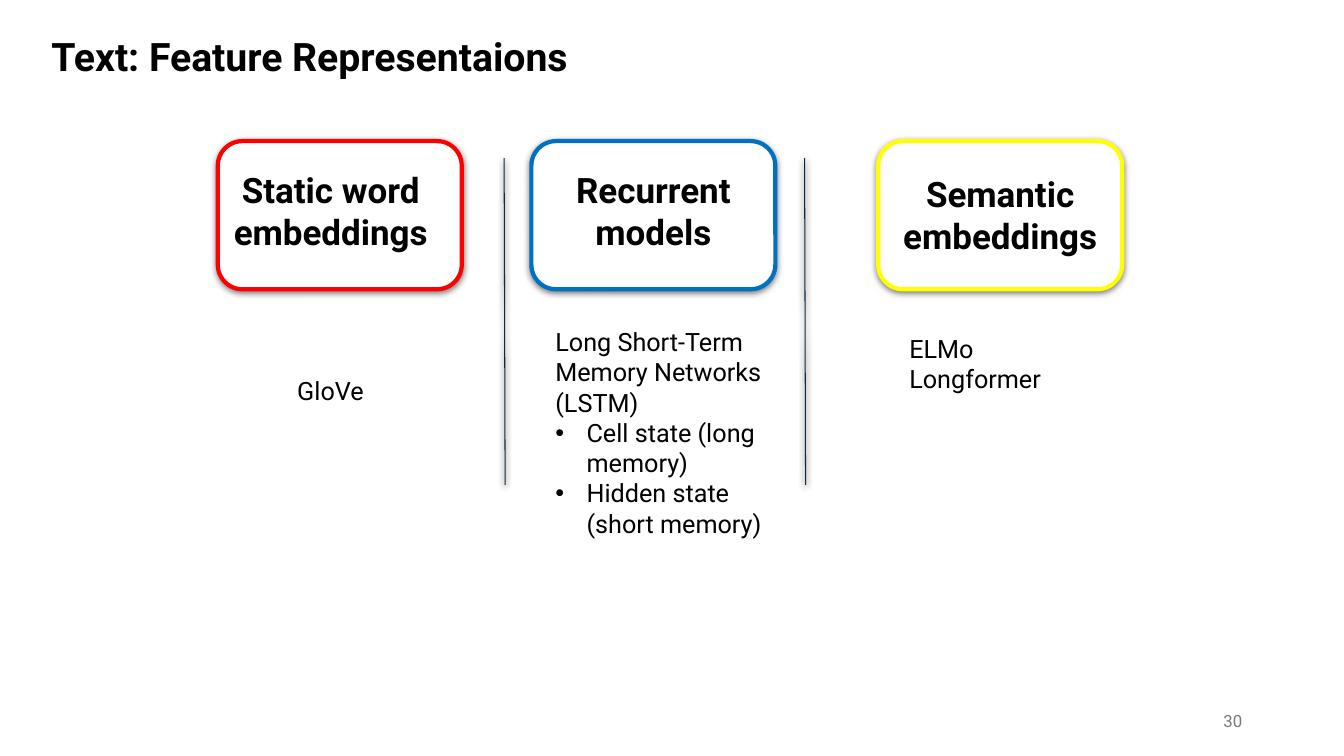
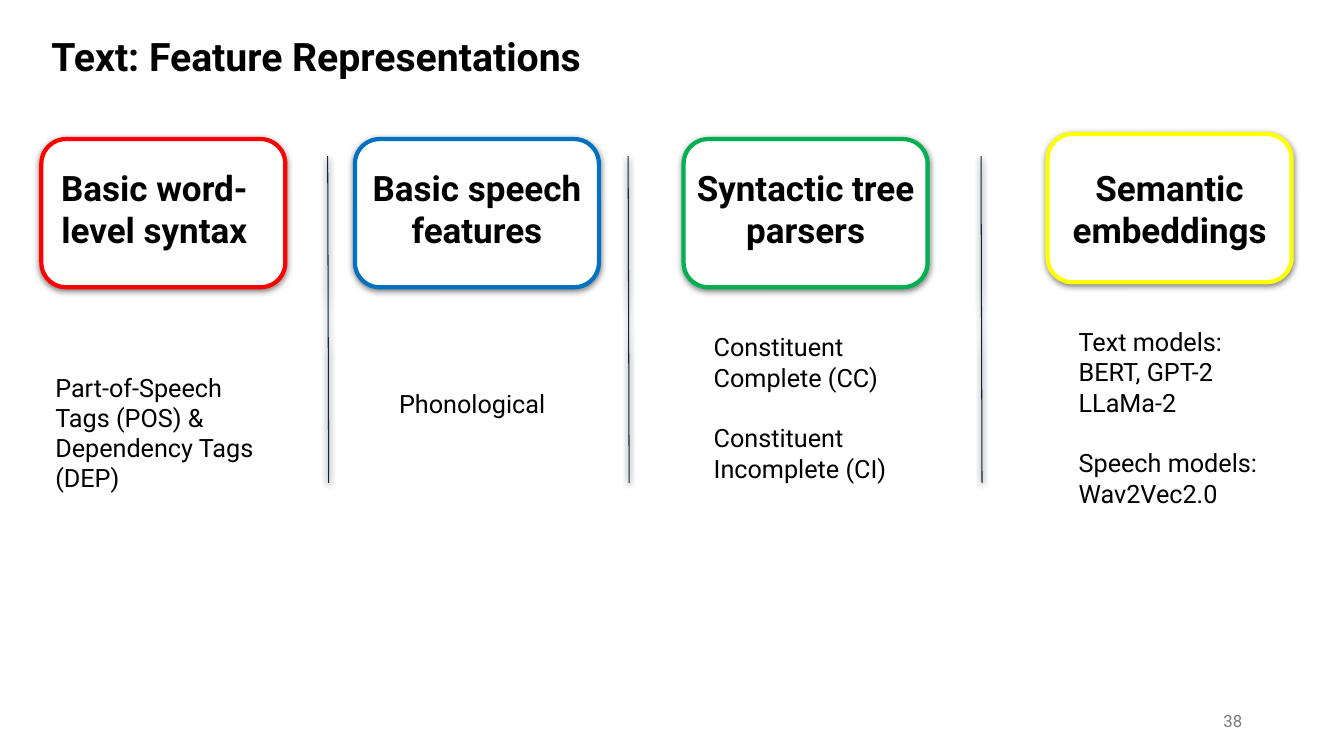
"""Build two slides comparing text feature representations."""
from pptx import Presentation
from pptx.dml.color import RGBColor
from pptx.enum.shapes import MSO_CONNECTOR, MSO_SHAPE
from pptx.enum.text import MSO_ANCHOR, MSO_AUTO_SIZE, PP_ALIGN
from pptx.oxml import parse_xml
from pptx.oxml.ns import nsdecls
from pptx.util import Inches, Pt

ROUND = MSO_SHAPE.ROUNDED_RECTANGLE
STRAIGHT = MSO_CONNECTOR.STRAIGHT
LEFT, CENTER, RIGHT = PP_ALIGN.LEFT, PP_ALIGN.CENTER, PP_ALIGN.RIGHT
MIDDLE, TOP = MSO_ANCHOR.MIDDLE, MSO_ANCHOR.TOP
FIXED, GROW = MSO_AUTO_SIZE.NONE, MSO_AUTO_SIZE.SHAPE_TO_FIT_TEXT

BLACK = RGBColor(0x00, 0x00, 0x00)
WHITE = RGBColor(0xFF, 0xFF, 0xFF)
GREY = RGBColor(0x79, 0x79, 0x79)
NAVY = RGBColor(0x0E, 0x28, 0x41)
RED = RGBColor(0xFF, 0x00, 0x00)
BLUE = RGBColor(0x00, 0x70, 0xC0)
GREEN = RGBColor(0x00, 0xB0, 0x50)
YELLOW = RGBColor(0xFF, 0xFF, 0x00)

CARD_W, CARD_H, HEAD_H = 2.42, 1.47, 1.04
RULE_H, LEAN = 3.24, 0.01
PLAIN, BULLET, GAP = "plain", "bullet", "gap"

STYLES = {
    "title": {
        "font": {"name": "Roboto", "size": Pt(28), "bold": True},
        "para": {"alignment": LEFT, "line_spacing": 0.9},
        "frame": {"vertical_anchor": MIDDLE, "auto_size": FIXED},
        "color": BLACK,
    },
    "head": {
        "font": {"name": "Roboto", "size": Pt(25), "bold": True},
        "para": {"alignment": CENTER},
        "frame": {"vertical_anchor": TOP, "auto_size": GROW,
                  "margin_top": Inches(0.1), "margin_bottom": Inches(0.1)},
        "color": BLACK,
    },
    "body": {
        "font": {"name": "Roboto", "size": Pt(18)},
        "para": {"alignment": LEFT},
        "frame": {"vertical_anchor": TOP, "auto_size": GROW},
        "color": BLACK,
    },
    "number": {
        "font": {"name": "Roboto", "size": Pt(12)},
        "para": {"alignment": RIGHT},
        "frame": {"vertical_anchor": MIDDLE, "auto_size": FIXED},
        "color": GREY,
    },
}

SLIDES = [
    {
        "title": "Text: Feature Representaions",
        "number": "30",
        "rules": (1.57, [5, 7.98]),
        "cards": [
            (RED, 2.16, 1.4, (2.07, 1.57), ["Static word", "embeddings"],
             (2.85, 3.67, 1.03, 0.4), [(PLAIN, "GloVe")]),
            (BLUE, 5.27, 1.4, (5.27, 1.57), ["Recurrent models"],
             (5.41, 3.19, 2.42, 2.22),
             [(PLAIN, "Long Short-Term Memory Networks (LSTM)"),
              (BULLET, "Cell state (long memory)"),
              (BULLET, "Hidden state (short memory)")]),
            (YELLOW, 8.71, 1.4, (8.71, 1.61), ["Semantic embeddings"],
             (8.92, 3.26, 2.01, 0.71),
             [(PLAIN, "ELMo"), (PLAIN, "Longformer")]),
        ],
    },
    {
        "title": "Text: Feature Representations",
        "number": "38",
        "rules": (1.55, [3.25, 6.23, 9.73]),
        "cards": [
            (RED, 0.41, 1.38, (0.32, 1.55), ["Basic word-level syntax"],
             (0.45, 3.64, 2.42, 1.31),
             [(PLAIN, "Part-of-Speech Tags (POS) & Dependency Tags (DEP)")]),
            (BLUE, 3.52, 1.38, (3.52, 1.55), ["Basic speech features"],
             (3.86, 3.8, 2.01, 0.4), [(PLAIN, "Phonological")]),
            (GREEN, 6.78, 1.38, (6.78, 1.55), ["Syntactic tree parsers"],
             (6.98, 3.24, 2.01, 1.62),
             [(PLAIN, "Constituent Complete (CC)"),
              (GAP, "Constituent Incomplete (CI)")]),
            (YELLOW, 10.39, 1.33, (10.39, 1.55), ["Semantic embeddings"],
             (10.6, 3.19, 2.01, 1.92),
             [(PLAIN, "Text models: BERT, GPT-2"),
              (PLAIN, "LLaMa-2"),
              (GAP, "Speech models: Wav2Vec2.0")]),
        ],
    },
]


def write(shape, lines, kind):
    """Fill a shape with lines of text in one named style."""
    style = STYLES[kind]
    frame = shape.text_frame
    frame.word_wrap = True
    for key, value in style["frame"].items():
        setattr(frame, key, value)
    for index, (form, text) in enumerate(lines):
        para = frame.add_paragraph() if index else frame.paragraphs[0]
        for key, value in style["para"].items():
            setattr(para, key, value)
        if form == GAP:
            para.space_before = Pt(21.8)
        if form == BULLET:
            props = para._p.get_or_add_pPr()
            props.set("marL", str(Inches(0.31)))
            props.set("indent", str(-Inches(0.31)))
            props.append(parse_xml(f'<a:buFont {nsdecls("a")} typeface="Arial"/>'))
            props.append(parse_xml(f'<a:buChar {nsdecls("a")} char="•"/>'))
        run = para.add_run()
        run.text = text
        for key, value in style["font"].items():
            setattr(run.font, key, value)
        run.font.color.rgb = style["color"]


def shade(shape, alpha):
    """Give a shape a soft black shadow below it."""
    shape._element.spPr.append(parse_xml(
        f'<a:effectLst {nsdecls("a")}>'
        f'<a:outerShdw blurRad="{Pt(4.5)}" dist="{Pt(1.5)}" dir="5400000" '
        f'rotWithShape="0"><a:srgbClr val="{BLACK}">'
        f'<a:alpha val="{alpha * 1000}"/></a:srgbClr></a:outerShdw>'
        '</a:effectLst>'))


deck = Presentation()
deck.slide_width, deck.slide_height = Inches(13.33), Inches(7.5)

for page in SLIDES:
    slide = deck.slides.add_slide(deck.slide_layouts[5])
    shapes = slide.shapes
    title = shapes.title
    place = {"left": 0.41, "top": 0.2, "width": 11.5, "height": 0.77}
    for key, value in place.items():
        setattr(title, key, Inches(value))
    write(title, [(PLAIN, page["title"])], "title")

    for color, left, top, spot, head, area, body in page["cards"]:
        card = shapes.add_shape(ROUND, Inches(left), Inches(top),
                                Inches(CARD_W), Inches(CARD_H))
        card.fill.solid()
        card.fill.fore_color.rgb = WHITE
        card.line.color.rgb = color
        card.line.width = Pt(3)
        shade(card, 50)
        label = shapes.add_textbox(*map(Inches, (*spot, CARD_W, HEAD_H)))
        write(label, [(PLAIN, text) for text in head], "head")
        notes = shapes.add_textbox(*map(Inches, area))
        write(notes, body, "body")

    top, spots = page["rules"]
    for left in spots:
        rule = shapes.add_connector(STRAIGHT, Inches(left), Inches(top),
                                    Inches(left + LEAN), Inches(top + RULE_H))
        rule.line.color.rgb = NAVY
        rule.line.width = Pt(0.75)
        shade(rule, 100)

    number = shapes.add_textbox(*map(Inches, (9.42, 6.95, 3, 0.4)))
    write(number, [(PLAIN, page["number"])], "number")

deck.save("out.pptx")
